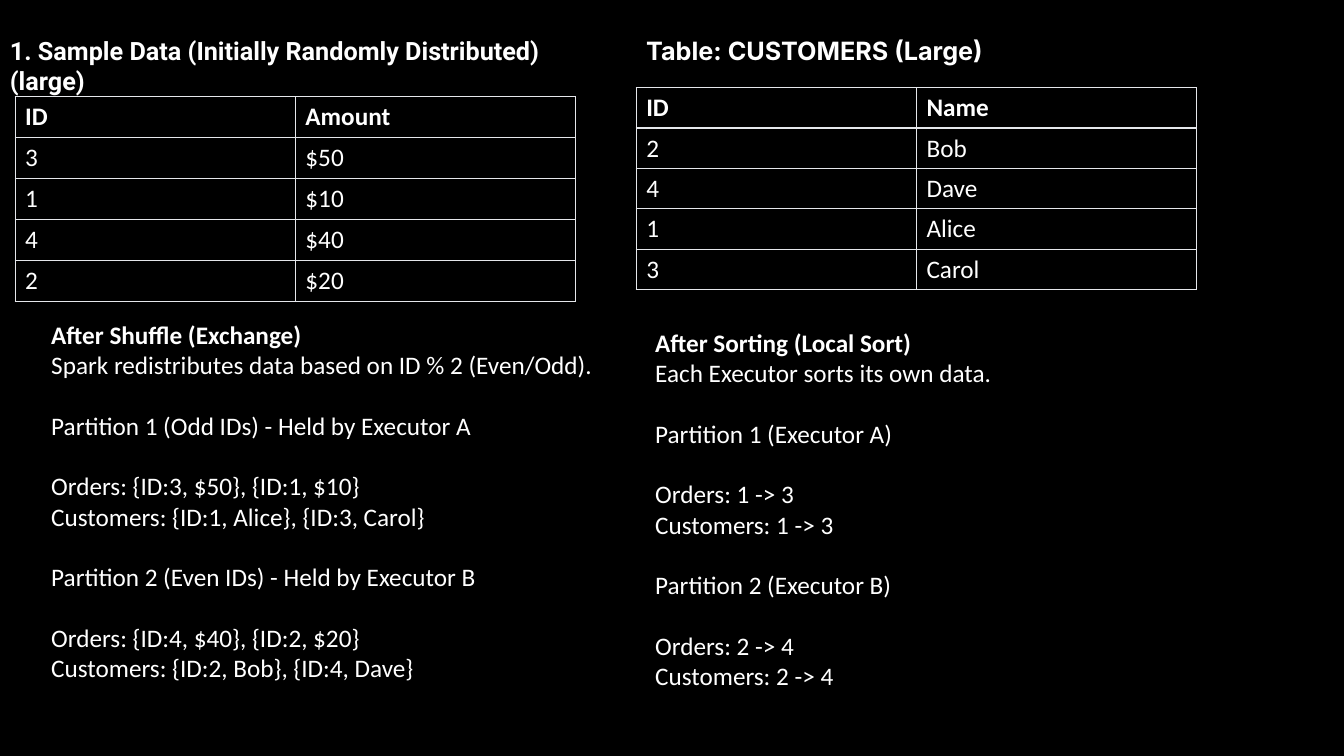
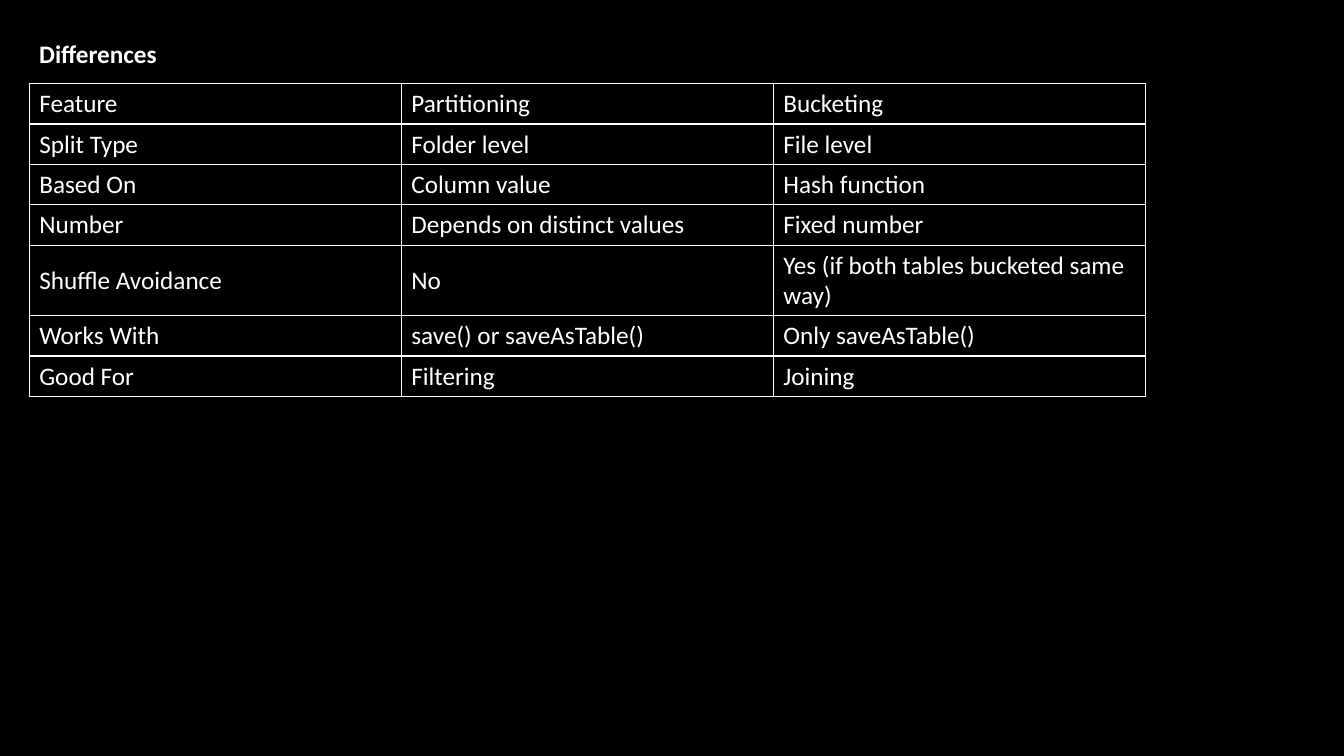
from lxml.etree import SubElement
from pptx import Presentation
from pptx.dml.color import RGBColor
from pptx.enum.text import MSO_ANCHOR as Anchor, MSO_AUTO_SIZE as AutoSize
from pptx.oxml.ns import qn
from pptx.util import Inches, Pt

BLACK, WHITE, PALE_GRAY = "000000", "FFFFFF", "E5E7EB"
BODY_FONT = "Calibri"
TEXT_SIZE = 18
LINE_GAP = 21.6  # one line of body text, in points


def color(hex_code):
    return RGBColor.from_string(hex_code)


def write(paragraph, text, font=BODY_FONT, size=TEXT_SIZE, ink=WHITE,
          bold=False, gap_before=0):
    paragraph.space_before = Pt(gap_before)
    run = paragraph.add_run()
    run.text = text
    run.font.name = font
    run.font.size = Pt(size)
    run.font.bold = bold
    run.font.color.rgb = color(ink)


def draw_borders(cell, ink, points=1):
    properties = cell._tc.get_or_add_tcPr()
    for side in ("a:lnL", "a:lnR", "a:lnT", "a:lnB"):
        line = SubElement(properties, qn(side), w=str(Pt(points)))
        fill = SubElement(line, qn("a:solidFill"))
        SubElement(fill, qn("a:srgbClr"), val=ink)


class Deck:
    """Holds the shared style and the current slide."""

    def __init__(self):
        self.presentation = Presentation()
        self.presentation.slide_width = Inches(13.33)
        self.presentation.slide_height = Inches(7.5)
        backdrop = self.presentation.slide_master.background.fill
        backdrop.solid()
        backdrop.fore_color.rgb = color(BLACK)
        self.slide = None

    def new_slide(self):
        blank = self.presentation.slide_layouts[6]
        self.slide = self.presentation.slides.add_slide(blank)

    def text_frame(self, left, top, width, height):
        box = self.slide.shapes.add_textbox(
            Inches(left), Inches(top), Inches(width), Inches(height))
        frame = box.text_frame
        frame.word_wrap = True
        frame.auto_size = AutoSize.SHAPE_TO_FIT_TEXT
        return frame

    def title(self, text, left, top, width, font=BODY_FONT):
        frame = self.text_frame(left, top, width, 0.4)
        write(frame.paragraphs[0], text, font=font, bold=True)

    def step(self, heading, groups, left, top, width):
        """A bold heading, then groups of lines set apart by a line gap."""
        frame = self.text_frame(left, top, width, 3.74)
        write(frame.paragraphs[0], heading, bold=True)
        for group_index, group in enumerate(groups):
            for line_index, line in enumerate(group):
                starts_group = group_index > 0 and line_index == 0
                write(frame.add_paragraph(), line,
                      gap_before=LINE_GAP if starts_group else 0)

    def grid(self, rows, left, top, column_width, row_heights,
             border=WHITE, bold_header=False):
        columns = len(rows[0])
        table = self.slide.shapes.add_table(
            len(rows), columns, Inches(left), Inches(top),
            Inches(column_width * columns), Inches(sum(row_heights))).table
        table.first_row = bold_header
        table.horz_banding = False
        for column in table.columns:
            column.width = Inches(column_width)
        for row_index, values in enumerate(rows):
            is_header = bold_header and row_index == 0
            table.rows[row_index].height = Inches(row_heights[row_index])
            for column_index, value in enumerate(values):
                cell = table.cell(row_index, column_index)
                cell.vertical_anchor = Anchor.BOTTOM if is_header else Anchor.MIDDLE
                draw_borders(cell, border)
                cell.fill.background()
                write(cell.text_frame.paragraphs[0], value, bold=is_header)

    def data_grid(self, rows, left, top):
        self.grid(rows, left, top, 2.78, [0.4] * len(rows),
                  border=PALE_GRAY, bold_header=True)

    def save(self):
        self.presentation.save("out.pptx")


def build_join_slide(deck):
    deck.new_slide()

    # Orders and customers before the shuffle
    orders = [("ID", "Amount"), ("3", "$50"), ("1", "$10"),
              ("4", "$40"), ("2", "$20")]
    customers = [("ID", "Name"), ("2", "Bob"), ("4", "Dave"),
                 ("1", "Alice"), ("3", "Carol")]
    deck.data_grid(orders, 0.15, 0.96)
    deck.title("1. Sample Data (Initially Randomly Distributed)(large)",
               0, 0.3, 5.78, font="Roboto")
    deck.data_grid(customers, 6.31, 0.87)
    deck.title("Table: CUSTOMERS (Large)", 6.31, 0.3, 6.52, font="Inter")

    # Shuffle and sort steps
    deck.step("After Shuffle (Exchange)", [
        ["Spark redistributes data based on ID % 2 (Even/Odd)."],
        ["Partition 1 (Odd IDs) - Held by Executor A"],
        ["Orders: {ID:3, $50}, {ID:1, $10}",
         "Customers: {ID:1, Alice}, {ID:3, Carol}"],
        ["Partition 2 (Even IDs) - Held by Executor B"],
        ["Orders: {ID:4, $40}, {ID:2, $20}",
         "Customers: {ID:2, Bob}, {ID:4, Dave}"],
    ], 0.41, 3.12, 5.78)
    deck.step("After Sorting (Local Sort)", [
        ["Each Executor sorts its own data."],
        ["Partition 1 (Executor A)"],
        ["Orders: 1 -> 3", "Customers: 1 -> 3"],
        ["Partition 2 (Executor B)"],
        ["Orders: 2 -> 4", "Customers: 2 -> 4"],
    ], 6.4, 3.2, 6.69)


def build_differences_slide(deck):
    deck.new_slide()
    differences = [
        ("Feature", "Partitioning", "Bucketing"),
        ("Split Type", "Folder level", "File level"),
        ("Based On", "Column value", "Hash function"),
        ("Number", "Depends on distinct values", "Fixed number"),
        ("Shuffle Avoidance", "No", "Yes (if both tables bucketed same way)"),
        ("Works With", "save() or saveAsTable()", "Only saveAsTable()"),
        ("Good For", "Filtering", "Joining"),
    ]
    deck.grid(differences, 0.29, 0.83, 3.69,
              [0.4, 0.4, 0.4, 0.4, 0.7, 0.4, 0.4])
    deck.title("Differences", 0.29, 0.33, 6.67)


def main():
    deck = Deck()
    build_join_slide(deck)
    build_differences_slide(deck)
    deck.save()


if __name__ == "__main__":
    main()
